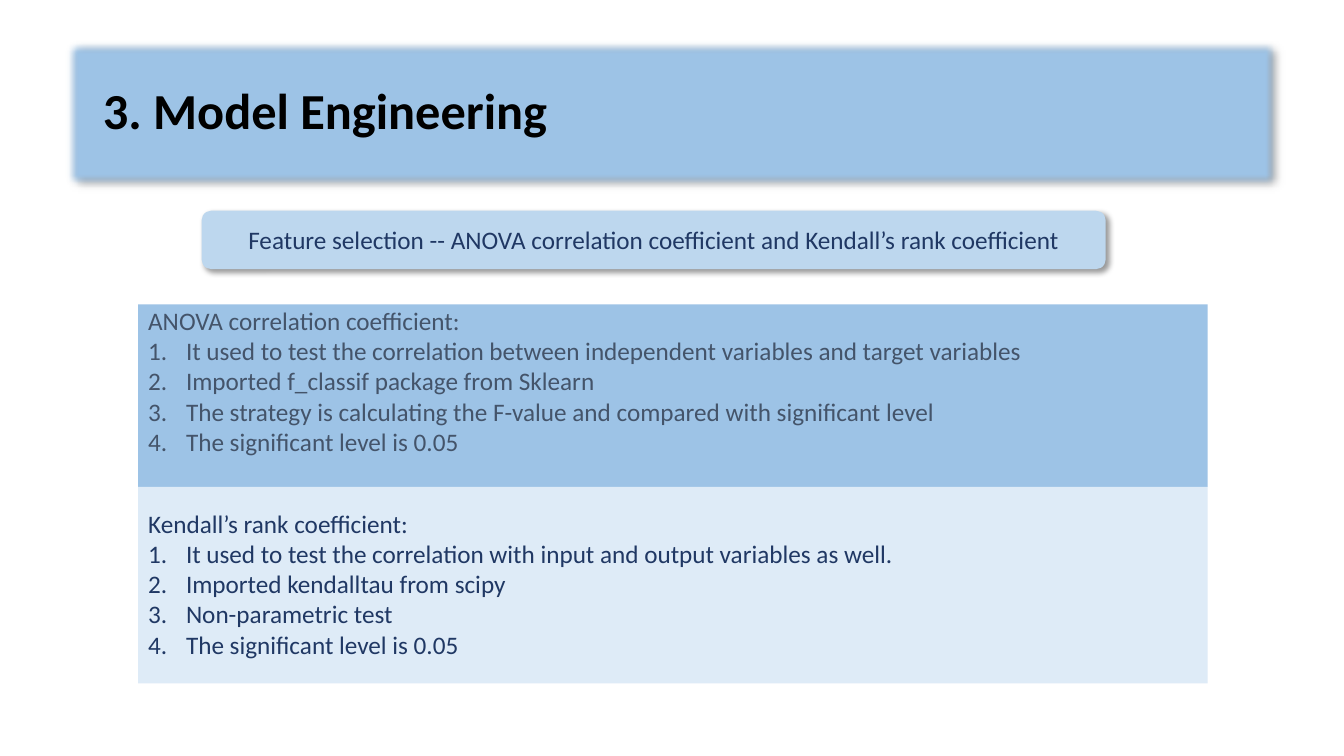
from lxml import etree
from pptx import Presentation
from pptx import util as u
from pptx.dml.color import RGBColor
from pptx.enum import shapes, text
from pptx.oxml import ns

Pt = u.Pt
COLORS = {"bar": "9DC3E6", "bar_line": "325491", "banner": "BDD7EE",
          "pale": "DEEBF7", "navy": "203864", "slate": "44546A", "black": "000000"}
INDENT = 27
PANEL_LEFT, PANEL_WIDTH = 98.64, 763.92


class SlideStyle:
    """Holds the style and the current slide."""

    def __init__(self, slide, font="Calibri", size=18):
        """Keep the slide and its base font."""
        self.slide, self.font, self.size = slide, font, size

    def color(self, name):
        """Return a named colour."""
        return RGBColor.from_string(COLORS[name])

    def format(self, para, color, size=None, bold=False):
        """Format every run of a paragraph."""
        for span in para.runs:
            span.font.name, span.font.size = self.font, Pt(size or self.size)
            span.font.bold = bold
            span.font.color.rgb = self.color(color)

    def effects(self, shape, soft_edge=0):
        """Add an outer shadow and, if wanted, a soft edge."""
        effects = shape._element.spPr.find(ns.qn("a:effectLst"))
        shadow = etree.SubElement(effects, ns.qn("a:outerShdw"), blurRad=str(Pt(4)),
                                  dist=str(Pt(3)), dir=str(45 * 60000),
                                  algn="tl", rotWithShape="0")
        black = etree.SubElement(shadow, ns.qn("a:srgbClr"), val=COLORS["black"])
        etree.SubElement(black, ns.qn("a:alpha"), val="40000")
        if soft_edge:
            etree.SubElement(effects, ns.qn("a:softEdge"), rad=str(Pt(soft_edge)))

    def box(self, area, fill, kind=shapes.MSO_SHAPE.RECTANGLE, line=None):
        """Draw a filled preset shape."""
        shape = self.slide.shapes.add_shape(kind, *map(Pt, area))
        shape.shadow.inherit = False
        shape.fill.solid()
        shape.fill.fore_color.rgb = self.color(fill)
        if line:
            shape.line.color.rgb, shape.line.width = self.color(line), Pt(1)
        else:
            shape.line.fill.background()
        return shape

    def place(self, holder, area, anchor):
        """Move a placeholder to the front and to its area."""
        self.slide.shapes._spTree.append(holder._element)
        holder.left, holder.top, holder.width, holder.height = map(Pt, area)
        frame = holder.text_frame
        frame.word_wrap, frame.auto_size = True, text.MSO_AUTO_SIZE.NONE
        frame.vertical_anchor = anchor
        return frame

    def title(self, wording, area):
        """Fill the title placeholder."""
        frame = self.place(self.slide.shapes.title, area, text.MSO_ANCHOR.MIDDLE)
        frame.text = wording
        para = frame.paragraphs[0]
        para.alignment, para.line_spacing = text.PP_ALIGN.LEFT, 0.9
        para.space_before = Pt(18)
        self.format(para, "black", 36, True)

    def caption(self, shape, wording, color):
        """Centre one line of text in a shape."""
        frame = shape.text_frame
        frame.text, frame.vertical_anchor = wording, text.MSO_ANCHOR.MIDDLE
        frame.paragraphs[0].alignment = text.PP_ALIGN.CENTER
        self.format(frame.paragraphs[0], color)

    def numbered_list(self, holder, area, heading, items, color, top_margin):
        """Fill a body placeholder with a heading and numbered items."""
        frame = self.place(holder, area, text.MSO_ANCHOR.TOP)
        frame.margin_top = Pt(top_margin)
        frame.text = "\n".join([heading, *items])
        for index, para in enumerate(frame.paragraphs):
            para.space_before = Pt(0)
            indent = Pt(INDENT) if index else 0
            props = para._p.get_or_add_pPr()
            props.set("marL", str(indent))
            props.set("indent", str(-indent))
            if index:
                etree.SubElement(props, ns.qn("a:buFont"), typeface="+mj-lt")
                etree.SubElement(props, ns.qn("a:buAutoNum"), type="arabicPeriod")
            else:
                etree.SubElement(props, ns.qn("a:buNone"))
            self.format(para, color)


deck = Presentation()
deck.slide_width, deck.slide_height = Pt(960), Pt(540)
page = deck.slides.add_slide(deck.slide_layouts.get_by_name("Two Content"))
style = SlideStyle(page)
anova, kendall = list(page.placeholders)[1:]

title_bar = style.box((46.8, 28.8, 866.16, 104.4), "bar", line="bar_line")
style.effects(title_bar, soft_edge=5)
style.title("3. Model Engineering", (66.24, 28.8, 828, 104.4))

banner = style.box((144, 150.48, 645.84, 41.76), "banner",
                   shapes.MSO_SHAPE.ROUNDED_RECTANGLE)
style.effects(banner)
style.caption(banner, "Feature selection -- ANOVA correlation coefficient and "
              "Kendall’s rank coefficient", "navy")

style.numbered_list(
    anova, (PANEL_LEFT, 217.44, PANEL_WIDTH, 130.32), "ANOVA correlation coefficient:",
    ["It used to test the correlation between independent variables and target variables",
     "Imported f_classif package from Sklearn",
     "The strategy is calculating the F-value and compared with significant level",
     "The significant level is 0.05"], "slate", 0.5)
anova.fill.solid()
anova.fill.fore_color.rgb = style.color("bar")

style.box((PANEL_LEFT, 347.76, PANEL_WIDTH, 140.4), "pale")
style.numbered_list(
    kendall, (PANEL_LEFT, 359.28, 740.16, 116.64), "Kendall’s rank coefficient:",
    ["It used to test the correlation with input and output variables as well.",
     "Imported kendalltau from scipy",
     "Non-parametric test",
     "The significant level is 0.05"], "navy", 3.6)

deck.save("out.pptx")
